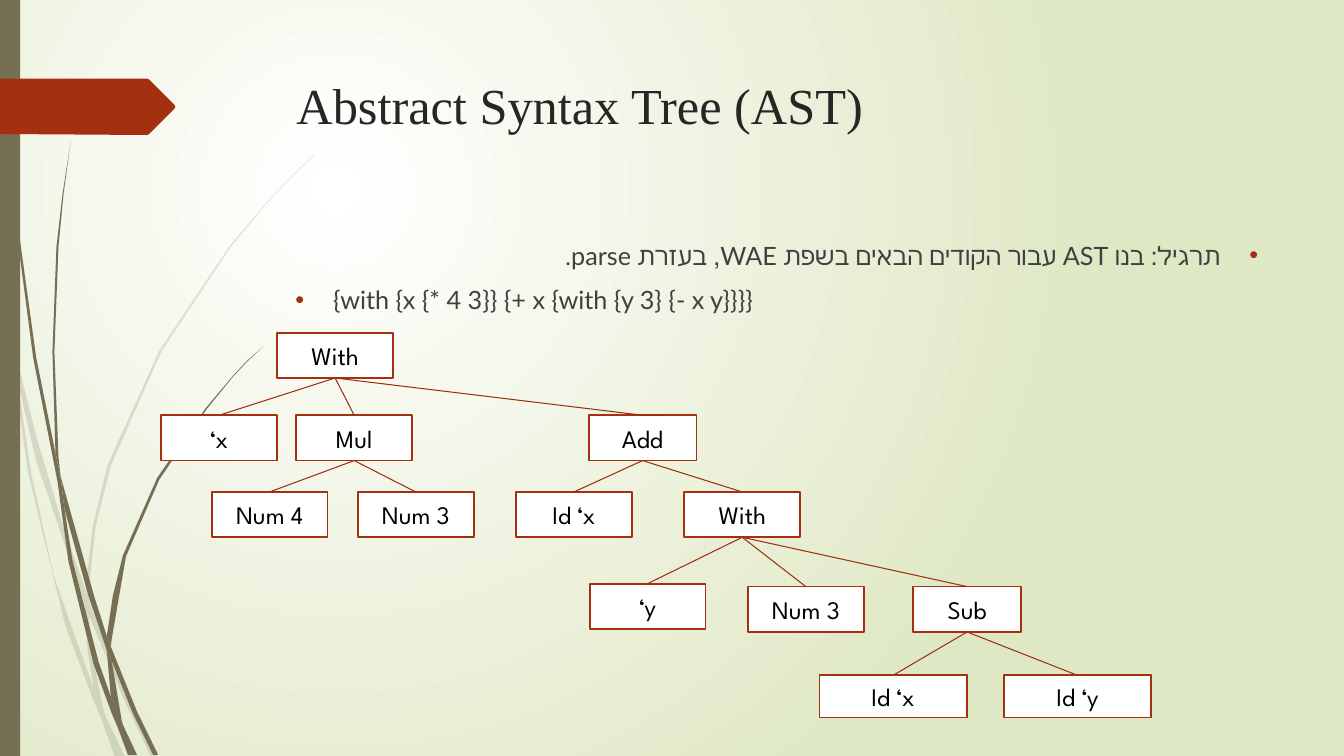
from lxml import etree
from pptx import Presentation
from pptx import util as u
from pptx.dml.color import RGBColor
from pptx.enum import shapes, text
from pptx.oxml import ns

OLIVE = RGBColor(0x76, 0x6F, 0x54)
RUST = RGBColor(0xA5, 0x30, 0x10)
BRICK = RGBColor(0x9E, 0x2E, 0x0F)
WHITE = RGBColor(0xFF, 0xFF, 0xFF)
LIME = RGBColor(0xDF, 0xE8, 0xC4)
BLACK = RGBColor(0, 0, 0)
DARK = RGBColor(0x26, 0x26, 0x26)
GREY = RGBColor(0x40, 0x40, 0x40)

UNIT = u.Pt(0.72)
WIDE, SLIM, LONG = 82.8, 77, 105.2
HIGH, LOW = 32.4, 30.2

PALE_BLADES = [
    [(0, 282), (9, 322), (11, 350), (17, 376), (31, 469), (53, 570),
     (70, 619), (93, 683), (96, 692), (105, 711), (124, 751), (114, 751),
     (101, 714), (92, 693), (65, 621), (28, 470), (11, 350), (10, 344),
     (0, 299)],
    [(14, 345), (36, 433), (62, 520), (85, 586), (92, 607), (127, 692),
     (155, 751), (150, 751), (123, 694), (88, 610), (84, 599), (58, 522),
     (36, 458), (17, 376)],
    [(84, 599), (87, 646), (93, 683), (96, 692), (105, 711), (103, 706),
     (91, 646), (88, 610)],
    [(312, 153), (289, 175), (268, 197), (228, 244), (158, 348), (107, 461),
     (92, 522), (85, 584), (88, 596), (88, 584), (95, 522), (110, 462),
     (160, 349), (229, 245), (268, 198), (290, 175), (312, 154)],
]
DARK_BLADES = [
    [(3, 0), (4, 0), (5, 48), (8, 109), (19, 232), (36, 355), (55, 449),
     (60, 472), (64, 505), (72, 556), (98, 657), (110, 691), (122, 719),
     (136, 749), (127, 749), (117, 722), (111, 708), (93, 659), (68, 557),
     (57, 477), (33, 355), (17, 233), (7, 110), (4, 48)],
    [(60, 472), (93, 590), (106, 631), (113, 649), (136, 706), (157, 749),
     (152, 749), (132, 708), (111, 656), (106, 645), (88, 592), (64, 505)],
    [(70, 141), (62, 193), (56, 245), (52, 349), (55, 449), (60, 472),
     (58, 453), (54, 349), (58, 245), (63, 193)],
    [(261, 344), (245, 358), (231, 373), (204, 405), (156, 474), (122, 551),
     (112, 591), (106, 631), (110, 641), (111, 633), (125, 552), (158, 476),
     (205, 406), (231, 374), (245, 359)],
    [(106, 645), (110, 691), (116, 706), (122, 719), (121, 716), (111, 656)],
]
ARROW = [(0, 78), (146, 78), (148, 79), (173, 104), (174, 106), (173, 108),
         (148, 133), (146, 134), (0, 133)]

TREE = ("With", 239.4, 237.6, WIDE, HIGH, [
    ("‘x", 156.6, 296.6, WIDE, HIGH, []),
    ("Mul", 253, 296.6, WIDE, HIGH, [
        ("Num 4", 192.6, 351.4, WIDE, HIGH, []),
        ("Num 3", 297, 351.4, WIDE, HIGH, [])]),
    ("Add", 459, 296.6, SLIM, HIGH, [
        ("Id ‘x", 410, 351.4, WIDE, HIGH, []),
        ("With", 530.2, 351.4, WIDE, HIGH, [
            ("‘y", 462.6, 416.9, WIDE, HIGH, []),
            ("Num 3", 575.6, 419, WIDE, HIGH, []),
            ("Sub", 690.8, 419, SLIM, HIGH, [
                ("Id ‘x", 637.9, 482.4, LONG, LOW, []),
                ("Id ‘y", 769.7, 482.4, LONG, LOW, [])])])])])


def add_sub(node, tag, **attrs):
    """Append a drawing element to a node."""
    return etree.SubElement(node, ns.qn(tag), attrs)


def write(para, words, font="Lato", size=18, color=GREY,
          align=text.PP_ALIGN.LEFT):
    """Put formatted text in a paragraph."""
    para.alignment = align
    run = para.add_run()
    run.text = words
    run.font.name = font
    run.font.size = u.Pt(size)
    run.font.color.rgb = color


def paint(slide):
    """Fill the background with a round gradient."""
    fill = slide.background.fill
    fill.gradient()
    for stop, color in zip(fill.gradient_stops, (WHITE, LIME)):
        stop.color.rgb = color
    grad = slide.element.find(".//" + ns.qn("a:gradFill"))
    grad.remove(grad.find(ns.qn("a:lin")))
    ring = add_sub(grad, "a:path", path="circle")
    add_sub(ring, "a:fillToRect", l="50000", t="50000", r="100000", b="100000")


def coat(shape, color):
    """Give a shape a plain fill with no line or shadow."""
    shape.shadow.inherit = False
    shape.fill.solid()
    shape.fill.fore_color.rgb = color
    shape.line.fill.background()


def outline(slide, points, color, alpha=None):
    """Draw a filled outline from points in hundredths of an inch."""
    pen = slide.shapes.build_freeform(*points[0], scale=UNIT)
    pen.add_line_segments(points[1:], close=True)
    shape = pen.convert_to_shape()
    coat(shape, color)
    if alpha:
        tint = shape.element.spPr.find(".//" + ns.qn("a:srgbClr"))
        add_sub(tint, "a:alpha", val=str(alpha * 1000))


def place(holder, left, top, width, height):
    """Move a placeholder and set its frame."""
    holder.left, holder.top = u.Pt(left), u.Pt(top)
    holder.width, holder.height = u.Pt(width), u.Pt(height)
    frame = holder.text_frame
    frame.word_wrap = True
    frame.auto_size = text.MSO_AUTO_SIZE.NONE
    frame.vertical_anchor = text.MSO_ANCHOR.TOP
    return frame


def bullet(para, words, rtl=False):
    """Write one list item, right to left if asked."""
    side = text.PP_ALIGN.RIGHT if rtl else text.PP_ALIGN.LEFT
    write(para, words, align=side)
    para.space_before = u.Pt(10)
    props = para._p.get_or_add_pPr()
    props.set("marL", str(u.Pt(27)))
    props.set("indent", str(u.Pt(-27)))
    props.set("rtl", str(int(rtl)))
    tint = add_sub(props, "a:buClr")
    add_sub(tint, "a:srgbClr", val=str(RUST))
    add_sub(props, "a:buFont", typeface="Arial")
    add_sub(props, "a:buChar", char="•")


def link(slide, top, low):
    """Join the bottom of one box to the top of another."""
    line = slide.shapes.add_connector(shapes.MSO_CONNECTOR.STRAIGHT, 0, 0, 0, 0)
    line.begin_connect(top, 2)
    line.end_connect(low, 0)
    line.line.color.rgb = BRICK
    line.line.width = u.Pt(0.75)
    add_sub(line.element.spPr, "a:effectLst")


def grow(slide, node):
    """Draw a tree node with its children and return its box."""
    label, mid, top, width, height, kids = node
    box = slide.shapes.add_shape(
        shapes.MSO_SHAPE.RECTANGLE, u.Pt(mid - width / 2), u.Pt(top),
        u.Pt(width), u.Pt(height))
    coat(box, WHITE)
    box.line.color.rgb = RUST
    box.line.width = u.Pt(1.25)
    box.text_frame.vertical_anchor = text.MSO_ANCHOR.MIDDLE
    write(box.text_frame.paragraphs[0], label, font="League Spartan",
          color=BLACK, align=text.PP_ALIGN.CENTER)
    for kid in kids:
        link(slide, box, grow(slide, kid))
    return box


def main():
    """Build the slide and save it."""
    deck = Presentation()
    deck.slide_width, deck.slide_height = u.Pt(960), u.Pt(540)
    slide = deck.slides.add_slide(deck.slide_layouts[1])
    paint(slide)
    for blade in PALE_BLADES:
        outline(slide, blade, OLIVE, alpha=20)
    for blade in DARK_BLADES:
        outline(slide, blade, OLIVE)
    band = slide.shapes.add_shape(
        shapes.MSO_SHAPE.RECTANGLE, 0, 0, u.Pt(14.4), u.Pt(540))
    coat(band, OLIVE)
    outline(slide, ARROW, RUST)

    title = place(slide.shapes.title, 204.5, 49, 702, 100.8)
    write(title.paragraphs[0], "Abstract Syntax Tree (AST)",
          font="Times New Roman", size=36, color=DARK)
    body = place(slide.placeholders[1], 203.8, 167.8, 702, 297.4)
    bullet(body.paragraphs[0],
           "תרגיל: בנו AST עבור הקודים הבאים בשפת WAE, בעזרת parse.", rtl=True)
    bullet(body.add_paragraph(),
           "{with {x {* 4 3}} {+ x {with {y 3} {- x y}}}}")
    grow(slide, TREE)
    deck.save("out.pptx")


if __name__ == "__main__":
    main()
